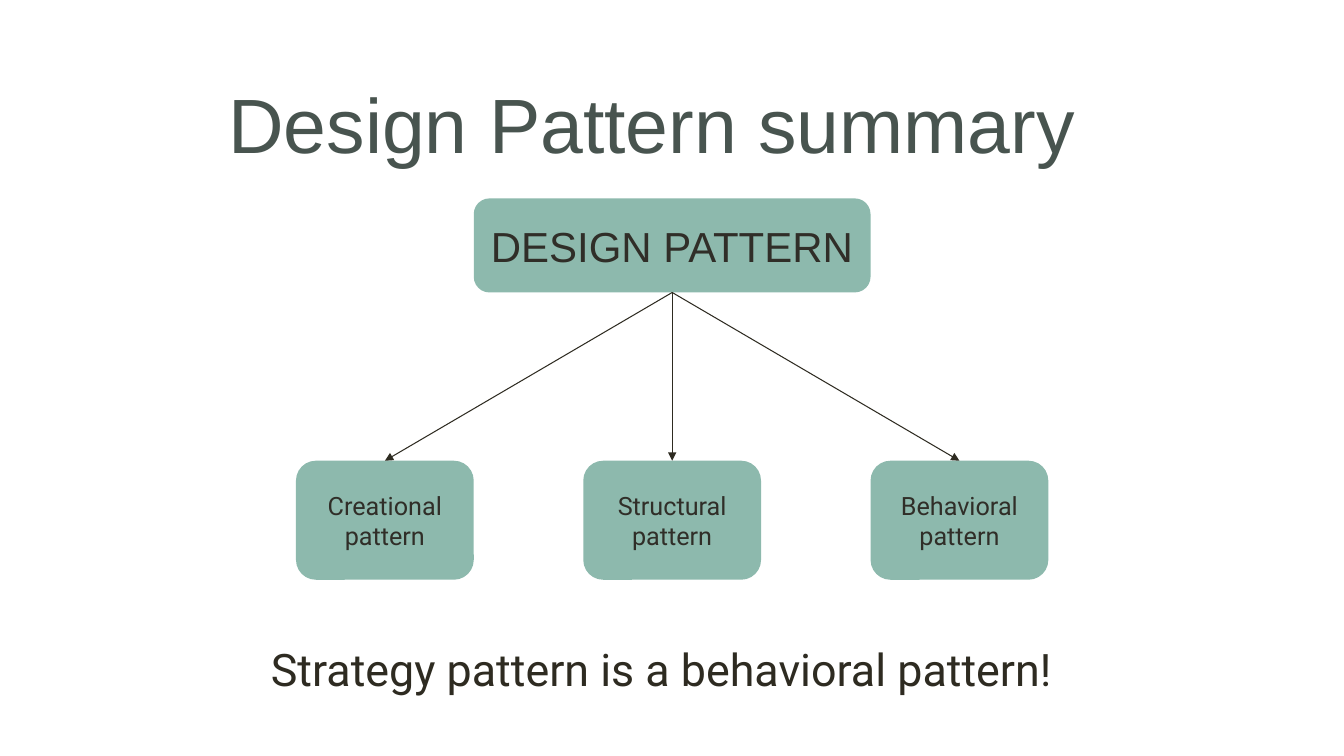
from dataclasses import dataclass

from lxml.etree import SubElement
from pptx import Presentation
from pptx.dml.color import RGBColor
from pptx.enum.shapes import MSO_CONNECTOR, MSO_SHAPE
from pptx.enum.text import MSO_ANCHOR, PP_ALIGN
from pptx.oxml.ns import qn
from pptx.util import Cm, Pt


@dataclass(frozen=True)
class Theme:
    box: str = "8DB9AD"
    label: str = "302E28"
    ink: str = "2E2B21"
    head: str = "48544F"
    sans: str = "Arial"
    body: str = "Roboto"
    title: int = 55
    note: int = 32
    root: int = 30
    leaf: int = 18
    line: float = 0.75


THEME = Theme()
CENTER = 16.94
PITCH = 7.24


def write(frame, text, font, size, color):
    frame.word_wrap = True
    para = frame.paragraphs[0]
    para.alignment = PP_ALIGN.CENTER
    run = para.add_run()
    run.text = text
    run.font.name = font
    run.font.size = Pt(size)
    run.font.color.rgb = RGBColor.from_string(color)
    return para


def add_text(slide, text, left, top, width, height, font, size, color):
    box = slide.shapes.add_textbox(Cm(left), Cm(top), Cm(width), Cm(height))
    return write(box.text_frame, text, font, size, color)


def add_box(slide, text, center, top, width, height, font, size):
    box = slide.shapes.add_shape(
        MSO_SHAPE.ROUNDED_RECTANGLE,
        Cm(center - width / 2), Cm(top), Cm(width), Cm(height))
    box.shadow.inherit = False
    box.fill.solid()
    box.fill.fore_color.rgb = RGBColor.from_string(THEME.box)
    box.line.fill.background()
    box.text_frame.vertical_anchor = MSO_ANCHOR.MIDDLE
    write(box.text_frame, text, font, size, THEME.label)
    return box


def add_arrow(slide, root, leaf):
    arrow = slide.shapes.add_connector(MSO_CONNECTOR.STRAIGHT, 0, 0, 0, 0)
    arrow.begin_connect(root, 2)
    arrow.end_connect(leaf, 0)
    arrow.line.width = Pt(THEME.line)
    arrow.line.color.rgb = RGBColor.from_string(THEME.ink)
    SubElement(arrow.line._get_or_add_ln(), qn("a:tailEnd"), type="triangle")
    SubElement(arrow._element.spPr, qn("a:effectLst"))


def main():
    deck = Presentation()
    deck.slide_width, deck.slide_height = Cm(33.87), Cm(19.05)
    slide = deck.slides.add_slide(deck.slide_layouts[6])

    title = add_text(slide, "Design Pattern summary", 4.14, 1.8, 24.56, 2.62,
                     THEME.sans, THEME.title, THEME.head)
    title.space_before = Pt(3)

    root = add_box(slide, "DESIGN PATTERN", CENTER, 5, 10, 2.37,
                   THEME.sans, THEME.root)
    kinds = ("Creational", "Structural", "Behavioral")
    for step, kind in enumerate(kinds, -1):
        leaf = add_box(slide, f"{kind} pattern", CENTER + step * PITCH, 11.61,
                       4.48, 3, THEME.body, THEME.leaf)
        add_arrow(slide, root, leaf)

    add_text(slide, "Strategy pattern is a behavioral pattern!",
             5.23, 16.05, 22.89, 1.63, THEME.body, THEME.note, THEME.ink)
    deck.save("out.pptx")


if __name__ == "__main__":
    main()
